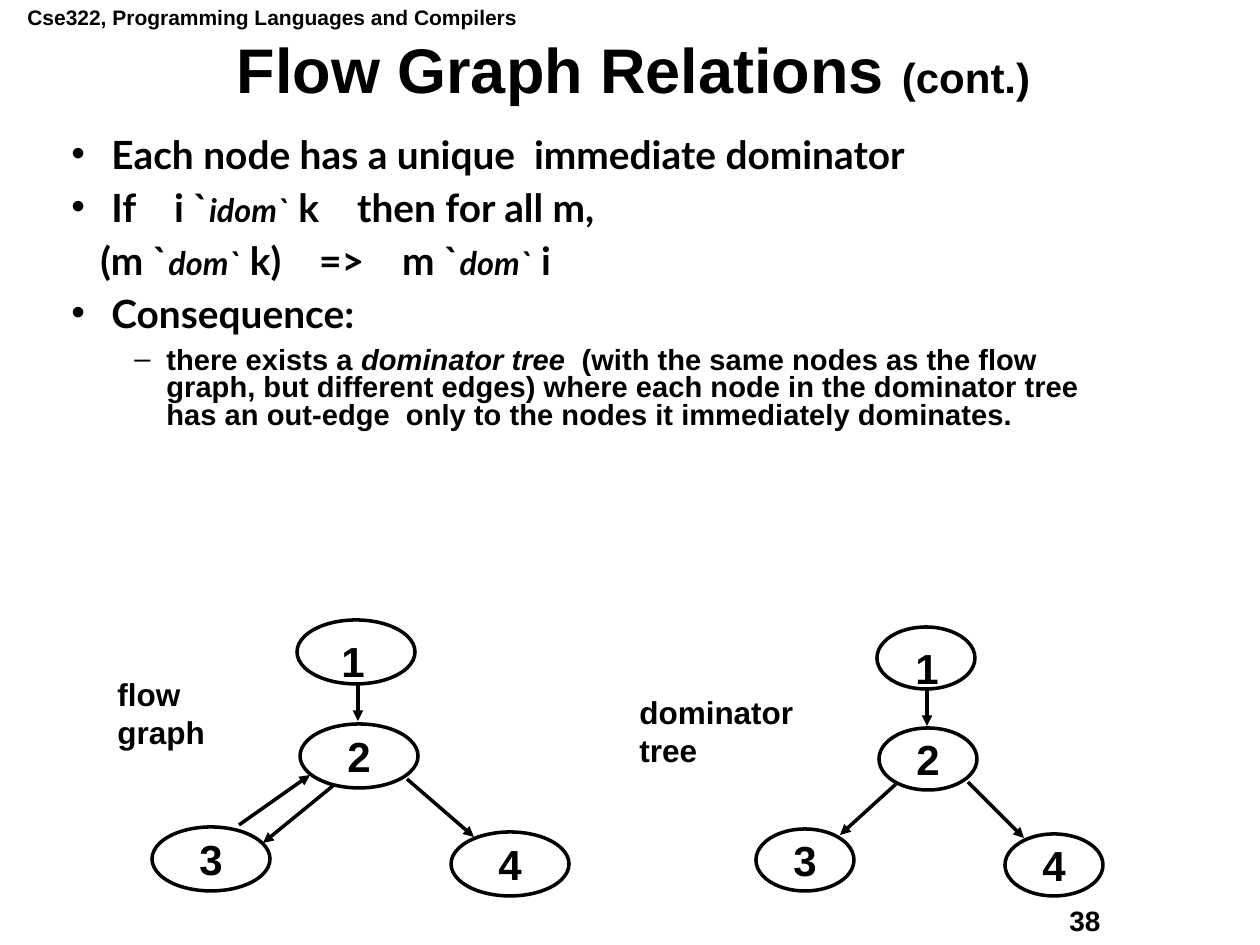
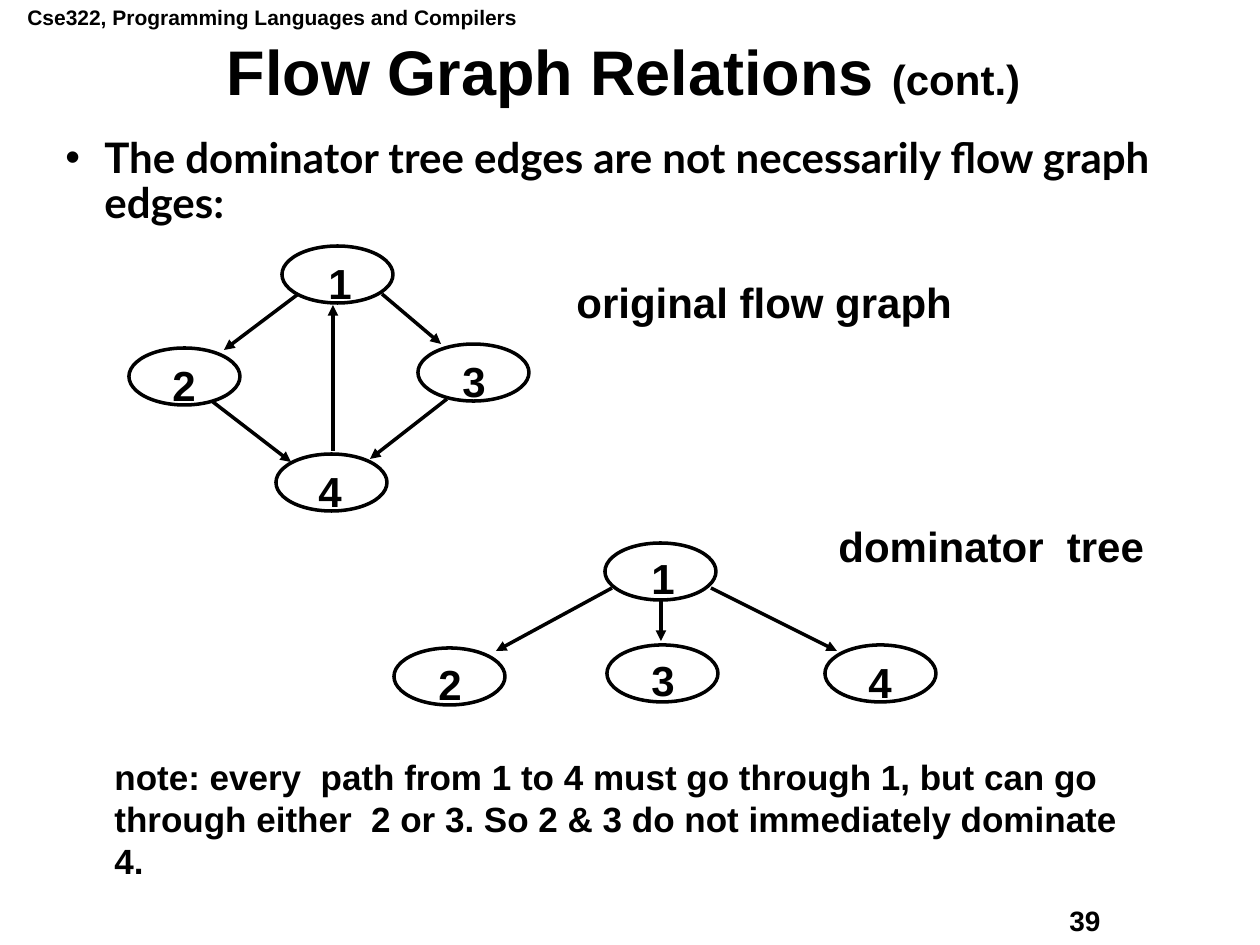
import dataclasses

import lxml.etree
import pptx
import pptx.dml.color
import pptx.enum.shapes
import pptx.enum.text
import pptx.oxml.ns
import pptx.util

EMU_PER_PX = 914400 / 126
ALIGN = pptx.enum.text.PP_ALIGN
ANCHOR = pptx.enum.text.MSO_ANCHOR


@dataclasses.dataclass(frozen=True)
class Theme:
    ink = pptx.dml.color.RGBColor(0, 0, 0)
    paper = pptx.dml.color.RGBColor(255, 255, 255)
    sans: str = "Arial"
    body: str = "Lato"
    title: float = 36
    title_note: float = 24
    point: float = 22.2
    operator: float = 18.5
    subpoint: float = 16.65
    large: float = 24
    note: float = 20
    caption: float = 18
    number: float = 16
    header: float = 12
    line: float = 2
    gap: float = 16.3  # extra width of the space between parts of a formula


T = Theme()


def px(n):
    return pptx.util.Emu(round(n * EMU_PER_PX))


def add_xml(parent, tag, **attrs):
    return lxml.etree.SubElement(parent, pptx.oxml.ns.qn(tag), attrs)


# Text
def add_run(p, text, size, font=T.sans, italic=False, spacing=0):
    r = p.add_run()
    r.text = text
    r.font.name, r.font.size = font, pptx.util.Pt(size)
    r.font.bold, r.font.italic = True, italic
    r.font.color.rgb = T.ink
    if spacing:
        r._r.get_or_add_rPr().set("spc", str(round(spacing * 100)))


def add_box(s, x, y, w, h, wrap=True):
    tf = s.shapes.add_textbox(px(x), px(y), px(w), px(h)).text_frame
    tf.word_wrap = wrap
    return tf


def add_text(s, text, x, y, w, h, size, wrap=False):
    tf = add_box(s, x, y, w, h, wrap)
    tf.auto_size = pptx.enum.text.MSO_AUTO_SIZE.SHAPE_TO_FIT_TEXT
    for i, line in enumerate(text.split("\n")):
        p = tf.add_paragraph() if i else tf.paragraphs[0]
        add_run(p, line, size)


def add_point(tf, first, margin, indent, spacing, before, bullet=None):
    p = tf.paragraphs[0] if first else tf.add_paragraph()
    pPr = p._p.get_or_add_pPr()
    pPr.set("marL", str(px(margin)))
    pPr.set("indent", str(px(indent)))
    if bullet:
        add_xml(pPr, "a:buFont", typeface=T.sans)
        add_xml(pPr, "a:buChar", char=bullet)
    p.line_spacing = spacing
    if not first:
        p.space_before = pptx.util.Pt(before)
    return p


def add_formula(p, parts):
    """Parts ending with dom` are operators; None is a wide gap."""
    for part in parts:
        if part is None:
            add_run(p, " ", T.point, T.body, spacing=T.gap)
        elif part.endswith("dom`"):
            add_run(p, part, T.operator, T.body, italic=True)
        else:
            add_run(p, part, T.point, T.body)


# Graphs
def add_node(s, label, x, y, w, h, label_offset=None):
    sp = s.shapes.add_shape(pptx.enum.shapes.MSO_SHAPE.OVAL,
                            px(x), px(y), px(w), px(h))
    sp.shadow.inherit = False
    sp.fill.solid()
    sp.fill.fore_color.rgb = T.paper
    sp.line.color.rgb = T.ink
    sp.line.width = pptx.util.Pt(T.line)
    if label_offset:
        dx, dy = label_offset
        return label, x + dx, y + dy
    tf = sp.text_frame
    tf.word_wrap = False
    tf.vertical_anchor = ANCHOR.MIDDLE
    tf.paragraphs[0].alignment = ALIGN.CENTER
    add_run(tf.paragraphs[0], label, T.large)
    return None


def add_arrow(s, x1, y1, x2, y2):
    c = s.shapes.add_connector(pptx.enum.shapes.MSO_CONNECTOR.STRAIGHT,
                               px(x1), px(y1), px(x2), px(y2))
    c.line.color.rgb = T.ink
    c.line.width = pptx.util.Pt(T.line)
    add_xml(c.line._get_or_add_ln(), "a:tailEnd", type="triangle")
    add_xml(c._element.spPr, "a:effectLst")


def add_graph(s, size, nodes, edges):
    """Nodes are (label, x, y) with an optional offset of a separate label."""
    labels = [add_node(s, label, x, y, *size, *offset)
              for label, x, y, *offset in nodes]
    for edge in edges:
        add_arrow(s, *edge)
    for label, x, y in filter(None, labels):
        add_text(s, label, x, y, 48, 63, T.large)


# Shared parts of the slides
def add_slide(prs, number, title_x, title_y):
    s = prs.slides.add_slide(prs.slide_layouts[6])
    add_text(s, "Cse322, Programming Languages and Compilers",
             15, -2, 518, 38, T.header)
    add_text(s, str(number), 1057, 897, 160, 45, T.number)
    tf = add_box(s, title_x, title_y, 1189, 74)
    tf.vertical_anchor = ANCHOR.MIDDLE
    p = tf.paragraphs[0]
    p.alignment = ALIGN.CENTER
    p.line_spacing = 0.9
    add_run(p, "Flow Graph Relations ", T.title)
    add_run(p, "(cont.)", T.title_note)
    return s


def build_immediate_dominators(prs):
    s = add_slide(prs, 38, 39, 36)

    # Points: parts, left margin, first-line indent, bullet
    tf = add_box(s, 59, 133, 1075, 324)
    points = [
        (["Each node has a unique  immediate dominator"], 40, -40, "•"),
        (["If", None, "i `", "idom`", " k", None, "then for all m,"], 40, -40, "•"),
        (["(m `", "dom`", " k)", None, "=>", None, "m `", "dom`", " i"], 29, 0, None),
        (["Consequence:"], 40, -40, "•"),
    ]
    for i, (parts, margin, indent, bullet) in enumerate(points):
        add_formula(add_point(tf, i == 0, margin, indent, 0.8, 9, bullet), parts)
    p = add_point(tf, False, 95, -32, 0.8, 6.8, "–")
    p.level = 1
    add_run(p, "there exists a ", T.subpoint)
    add_run(p, "dominator tree", T.subpoint, italic=True)
    add_run(p, "  (with the same nodes as the flow graph, but different edges) "
               "where each node in the dominator tree has an out-edge  only to "
               "the nodes it immediately dominates.", T.subpoint)

    # Flow graph
    add_graph(s, (118, 64),
              [("1", 297, 620, (32, 9)), ("2", 300, 724),
               ("3", 152, 827), ("4", 451, 832)],
              [(358, 684, 358, 721), (334, 785, 263, 843),
               (407, 779, 474, 837), (239, 825, 310, 775)])
    add_text(s, "flow\ngraph", 105, 669, 120, 88, T.caption)

    # Dominator tree
    add_graph(s, (98, 62),
              [("1", 877, 627, (26, 9)), ("2", 879, 728),
               ("3", 756, 829), ("4", 1005, 834)],
              [(927, 690, 927, 726), (896, 784, 840, 835),
               (968, 782, 1024, 838)])
    add_text(s, "dominator\ntree", 627, 687, 186, 88, T.caption)


def build_tree_edges(prs):
    s = add_slide(prs, 39, 29, 38)
    tf = add_box(s, 53, 131, 1120, 103)
    add_run(add_point(tf, True, 39, -39, 0.9, 9, "•"),
            "The dominator tree edges are not necessarily flow graph edges:",
            T.large, T.body)
    node_size = (111, 57)

    # Dominator tree
    add_graph(s, node_size,
              [("1", 605, 543, (34, 3)), ("2", 394, 648, (32, 4)),
               ("3", 607, 645, (32, 3)), ("4", 825, 645, (31, 5))],
              [(612, 588, 496, 651), (661, 601, 661, 641),
               (711, 588, 837, 651)])
    add_text(s, "dominator  tree", 826, 514, 345, 63, T.large)

    # Flow graph
    add_graph(s, node_size,
              [("1", 282, 246, (34, 5)), ("2", 129, 348, (31, 5)),
               ("3", 418, 344, (32, 5)), ("4", 276, 454, (30, 5))],
              [(297, 295, 224, 350), (382, 294, 441, 344),
               (213, 402, 291, 462), (447, 399, 370, 459),
               (333, 451, 333, 305)])
    add_text(s, "original flow graph", 564, 270, 410, 63, T.large)

    # Note
    add_text(s, "note: every  path from 1 to 4 must go through 1, but can go "
                "through either  2 or 3. So 2 & 3 do not immediately dominate 4.",
             102, 749, 1029, 139, T.note, wrap=True)


def main():
    prs = pptx.Presentation()
    prs.slide_width, prs.slide_height = px(1260), px(945)
    build_immediate_dominators(prs)
    build_tree_edges(prs)
    prs.save("out.pptx")


if __name__ == "__main__":
    main()
